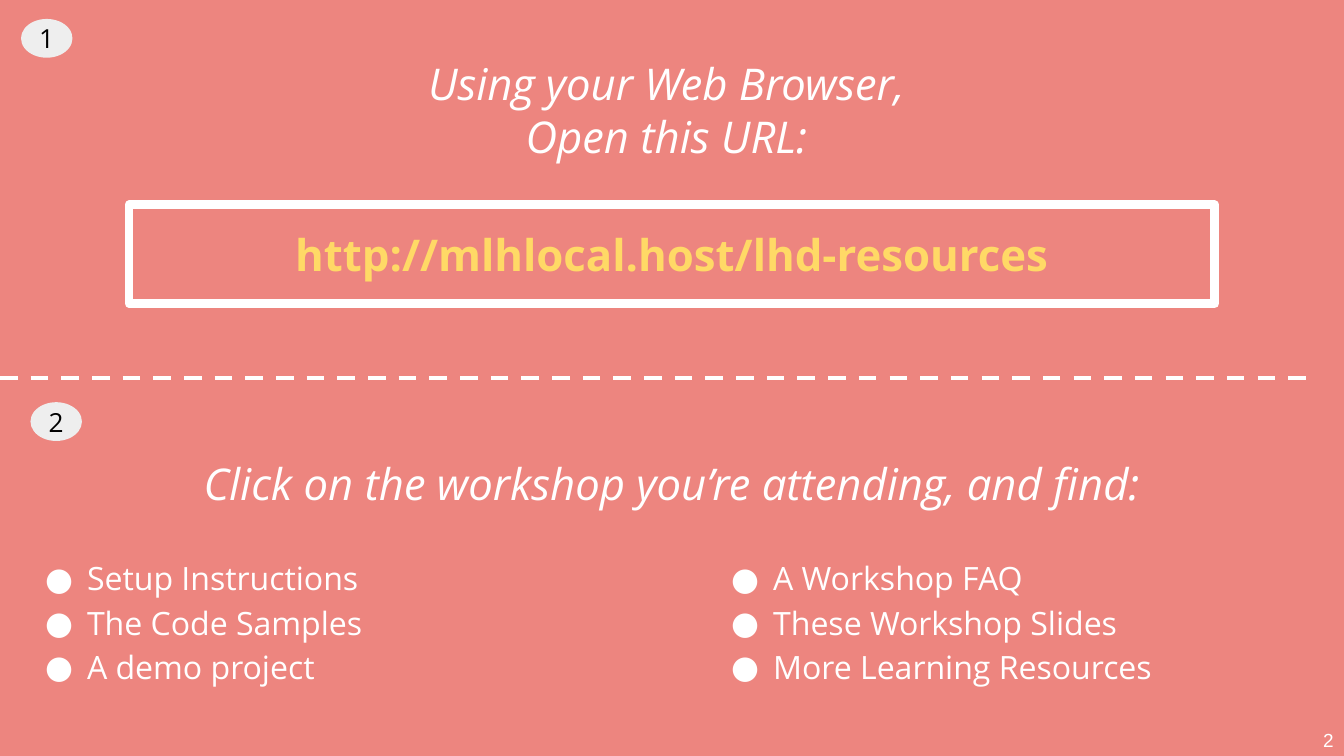
"""Build the workshop resources slide with two numbered steps."""
from dataclasses import dataclass

from lxml import etree
from pptx import Presentation
from pptx.dml.color import RGBColor
from pptx.enum import dml, shapes, text
from pptx.oxml import ns
from pptx.util import Pt


@dataclass(frozen=True)
class Theme:
    background: str = "ED857F"
    white: str = "FFFFFF"
    link: str = "FFD966"
    badge: str = "EEEEEE"
    black: str = "000000"
    font: str = "Open Sans"
    number_font: str = "Arial"
    heading_size: int = 30
    list_size: int = 22
    badge_size: int = 18
    number_size: int = 13


THEME = Theme()
MARGIN = 16.5
CONTENT_WIDTH = 889
COLUMN_WIDTH = 418.5
HEADING_HEIGHT = 63.5


def rgb(value):
    return RGBColor.from_string(value)


def place(box, left, top, width, height):
    box.left, box.top = Pt(left), Pt(top)
    box.width, box.height = Pt(width), Pt(height)


def write(box, words, size, color=THEME.white, font=THEME.font, bold=False,
          italic=False, align=text.PP_ALIGN.CENTER,
          anchor=text.MSO_ANCHOR.MIDDLE, inset=7.2):
    frame = box.text_frame
    frame.text = words
    frame.word_wrap = True
    frame.auto_size = text.MSO_AUTO_SIZE.NONE
    frame.vertical_anchor = anchor
    frame.margin_left = frame.margin_right = Pt(inset)
    frame.margin_top = frame.margin_bottom = Pt(inset)
    for para in frame.paragraphs:
        para.alignment = align
        para.space_before = Pt(0)
        for span in para.runs:
            span.font.name = font
            span.font.size = Pt(size)
            span.font.color.rgb = rgb(color)
            span.font.bold = bold
            span.font.italic = italic


def add_heading(box, words, top):
    place(box, MARGIN, top, CONTENT_WIDTH, HEADING_HEIGHT)
    write(box, words, THEME.heading_size, italic=True)


def add_bullet(para):
    properties = para._p.get_or_add_pPr()
    properties.set("marL", str(Pt(36)))
    properties.set("indent", str(Pt(-28.8)))
    color = etree.SubElement(properties, ns.qn("a:buClr"))
    etree.SubElement(color, ns.qn("a:srgbClr"), val=THEME.white)
    etree.SubElement(properties, ns.qn("a:buFont"), typeface=THEME.font)
    etree.SubElement(properties, ns.qn("a:buChar"), char="●")


def add_list(box, items, left):
    place(box, left, 362, COLUMN_WIDTH, 125.5)
    write(box, "\n".join(items), THEME.list_size, align=text.PP_ALIGN.LEFT)
    for para in box.text_frame.paragraphs:
        para.line_spacing = 1.15
        add_bullet(para)


def add_panel(page, kind, left, top, width, height, fill):
    panel = page.shapes.add_shape(kind, Pt(left), Pt(top), Pt(width), Pt(height))
    panel.shadow.inherit = False
    panel.fill.solid()
    panel.fill.fore_color.rgb = rgb(fill)
    panel.line.fill.background()
    return panel


def add_badge(page, number, left, top):
    badge = add_panel(page, shapes.MSO_SHAPE.OVAL, left, top, 35.3, 26.6, THEME.badge)
    write(badge, number, THEME.badge_size, THEME.black, inset=0)
    badge.text_frame.word_wrap = False


def add_link(page, address):
    frame = add_panel(page, shapes.MSO_SHAPE.RECTANGLE, 88.5, 140.5, 744.5, 67.7,
                      THEME.background)
    frame.line.color.rgb = rgb(THEME.white)
    frame.line.width = Pt(6)
    write(frame, address, THEME.heading_size, THEME.link, bold=True)


def add_divider(page, top, width):
    divider = page.shapes.add_connector(
        shapes.MSO_CONNECTOR.STRAIGHT, Pt(0), Pt(top), Pt(width), Pt(top))
    divider.line.color.rgb = rgb(THEME.white)
    divider.line.width = Pt(3)
    divider.line.dash_style = dml.MSO_LINE.DASH
    etree.SubElement(divider._element.spPr, ns.qn("a:effectLst"))


def add_page_number(page, number):
    box = page.shapes.add_textbox(Pt(866), Pt(492.5), Pt(55.5), Pt(26))
    write(box, number, THEME.number_size, font=THEME.number_font,
          align=text.PP_ALIGN.RIGHT, anchor=text.MSO_ANCHOR.TOP)


def main():
    deck = Presentation()
    deck.slide_width, deck.slide_height = Pt(921.6), Pt(518.4)
    page = deck.slides.add_slide(deck.slide_layouts.get_by_name("Two Content"))
    page.background.fill.solid()
    page.background.fill.fore_color.rgb = rgb(THEME.background)
    title, left_list, right_list = page.placeholders

    add_heading(title, "Using your Web Browser, \nOpen this URL: ", 43.2)
    add_link(page, "http://mlhlocal.host/lhd-resources")
    add_divider(page, 259.2, 900.7)
    subtitle = page.shapes.add_textbox(0, 0, 0, 0)
    add_heading(subtitle, "Click on the workshop you’re attending, and find:", 299.5)
    add_list(left_list, ["Setup Instructions", "The Code Samples", "A demo project"],
             MARGIN)
    add_list(right_list, ["A Workshop FAQ", "These Workshop Slides",
                          "More Learning Resources"],
             MARGIN + CONTENT_WIDTH - COLUMN_WIDTH)
    add_badge(page, "1", 14.4, 13)
    add_badge(page, "2", 20.9, 275.8)
    add_page_number(page, "2")
    deck.save("out.pptx")


if __name__ == "__main__":
    main()
